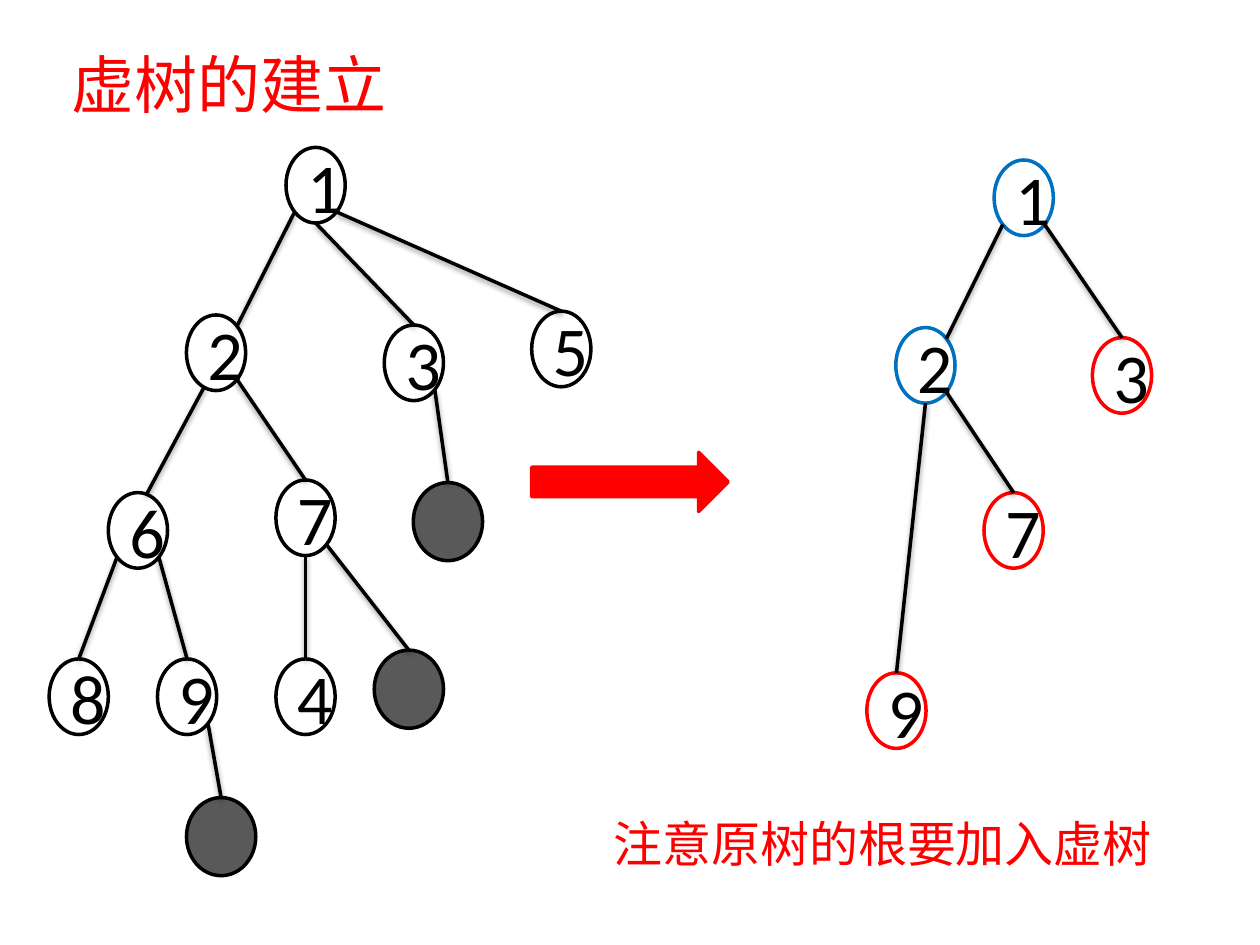
"""Build a slide that shows a tree being reduced to its virtual tree."""
from dataclasses import dataclass
from math import cos, radians, sin

from lxml.etree import SubElement
from pptx import Presentation
from pptx.dml.color import RGBColor
from pptx.enum.shapes import MSO_CONNECTOR, MSO_SHAPE
from pptx.enum.text import MSO_ANCHOR, MSO_AUTO_SIZE, PP_ALIGN
from pptx.oxml.ns import qn
from pptx.util import Inches, Pt

COLORS = {"black": "000000", "red": "FF0000", "blue": "0070C0", "gray": "595959"}
FONT = "Calibri"
LINE_WIDTH = Pt(2)
LEFT, UPPER_RIGHT, TOP = 135, 315, 270
RIGHT, BOTTOM = 45, 90


@dataclass(frozen=True)
class Node:
    left: float
    top: float
    label: str = ""
    line: str = "black"
    fill: str = ""
    width: float = 0.47
    height: float = 0.6

    def point(self, angle: float) -> tuple[float, float]:
        a = radians(angle)
        return (self.left + self.width / 2 * (1 + cos(a)),
                self.top + self.height / 2 * (1 + sin(a)))


@dataclass(frozen=True)
class Edge:
    parent: str
    child: str
    start: float
    end: float = TOP


@dataclass(frozen=True)
class Caption:
    left: float
    top: float
    height: float
    text: str
    size: int


def dark(left: float, top: float) -> Node:
    return Node(left, top, fill="gray", width=0.55, height=0.62)


FULL_NODES = {
    "1": Node(2.27, 1.17, "1"),
    "2": Node(1.48, 2.5, "2"),
    "3": Node(3.05, 2.58, "3"),
    "5": Node(4.22, 2.47, "5"),
    "6": Node(0.86, 3.91, "6"),
    "7": Node(2.19, 3.81, "7"),
    "8": Node(0.39, 5.23, "8"),
    "9": Node(1.25, 5.23, "9"),
    "4": Node(2.19, 5.23, "4"),
    "under 3": dark(3.28, 3.83),
    "under 7": dark(2.97, 5.16),
    "under 9": dark(1.48, 6.33),
}
FULL_EDGES = [
    Edge("1", "2", LEFT, UPPER_RIGHT),
    Edge("1", "3", BOTTOM),
    Edge("1", "5", RIGHT),
    Edge("2", "6", 114, 287),
    Edge("2", "7", RIGHT),
    Edge("6", "8", LEFT),
    Edge("6", "9", RIGHT),
    Edge("7", "4", BOTTOM),
    Edge("3", "under 3", RIGHT),
    Edge("7", "under 7", RIGHT),
    Edge("9", "under 9", RIGHT),
]
VIRTUAL_NODES = {
    "1": Node(7.89, 1.27, "1", "blue"),
    "2": Node(7.11, 2.6, "2", "blue"),
    "3": Node(8.67, 2.68, "3", "red"),
    "7": Node(7.81, 3.91, "7", "red"),
    "9": Node(6.88, 5.34, "9", "red"),
}
VIRTUAL_EDGES = [
    Edge("1", "2", LEFT, UPPER_RIGHT),
    Edge("1", "3", RIGHT),
    Edge("2", "7", RIGHT),
    Edge("2", "9", BOTTOM),
]
CAPTIONS = [
    Caption(0.47, 0.31, 0.71, "虚树的建立", 36),
    Caption(4.77, 6.41, 0.57, "注意原树的根要加入虚树", 28),
]


def rgb(name: str) -> RGBColor:
    return RGBColor.from_string(COLORS[name])


def set_text(tf, text: str, size: int, color: str) -> None:
    p = tf.paragraphs[0]
    p.text = text
    for r in p.runs:
        r.font.size = Pt(size)
        r.font.name = FONT
        r.font.color.rgb = rgb(color)


def add_shape(slide, kind, left: float, top: float, width: float, height: float,
              line: str, fill: str = ""):
    sp = slide.shapes.add_shape(kind, Inches(left), Inches(top), Inches(width), Inches(height))
    sp.shadow.inherit = False
    sp.line.color.rgb = rgb(line)
    sp.line.width = LINE_WIDTH
    if fill:
        sp.fill.solid()
        sp.fill.fore_color.rgb = rgb(fill)
    else:
        sp.fill.background()
    return sp


def add_node(slide, node: Node) -> None:
    sp = add_shape(slide, MSO_SHAPE.OVAL, node.left, node.top, node.width, node.height,
                   node.line, node.fill)
    if node.label:
        tf = sp.text_frame
        tf.vertical_anchor = MSO_ANCHOR.MIDDLE
        set_text(tf, node.label, 40, "black")
        tf.paragraphs[0].alignment = PP_ALIGN.CENTER


def add_edge(slide, nodes: dict[str, Node], edge: Edge) -> None:
    ends = nodes[edge.parent].point(edge.start) + nodes[edge.child].point(edge.end)
    line = slide.shapes.add_connector(MSO_CONNECTOR.STRAIGHT, *map(Inches, ends))
    line.line.color.rgb = rgb("black")
    line.line.width = LINE_WIDTH
    effects = SubElement(line._element.spPr, qn("a:effectLst"))
    shadow = SubElement(effects, qn("a:outerShdw"), blurRad=str(Pt(3.1)),
                        dist=str(Pt(1.6)), dir="5400000", rotWithShape="0")
    color = SubElement(shadow, qn("a:srgbClr"), val=COLORS["black"])
    SubElement(color, qn("a:alpha"), val="38000")


def add_tree(slide, nodes: dict[str, Node], edges: list[Edge]) -> None:
    for node in nodes.values():
        add_node(slide, node)
    for edge in edges:
        add_edge(slide, nodes, edge)


def add_caption(slide, caption: Caption) -> None:
    box = slide.shapes.add_textbox(Inches(caption.left), Inches(caption.top),
                                   Inches(4.69), Inches(caption.height))
    tf = box.text_frame
    tf.word_wrap = True
    tf.auto_size = MSO_AUTO_SIZE.SHAPE_TO_FIT_TEXT
    set_text(tf, caption.text, caption.size, "red")


def main() -> None:
    prs = Presentation()
    prs.slide_width, prs.slide_height = Inches(10), Inches(7.5)
    slide = prs.slides.add_slide(prs.slide_layouts[6])
    add_tree(slide, FULL_NODES, FULL_EDGES)
    add_shape(slide, MSO_SHAPE.RIGHT_ARROW, 4.22, 3.59, 1.56, 0.47, "red", "red")
    add_tree(slide, VIRTUAL_NODES, VIRTUAL_EDGES)
    for caption in CAPTIONS:
        add_caption(slide, caption)
    prs.save("out.pptx")


main()
